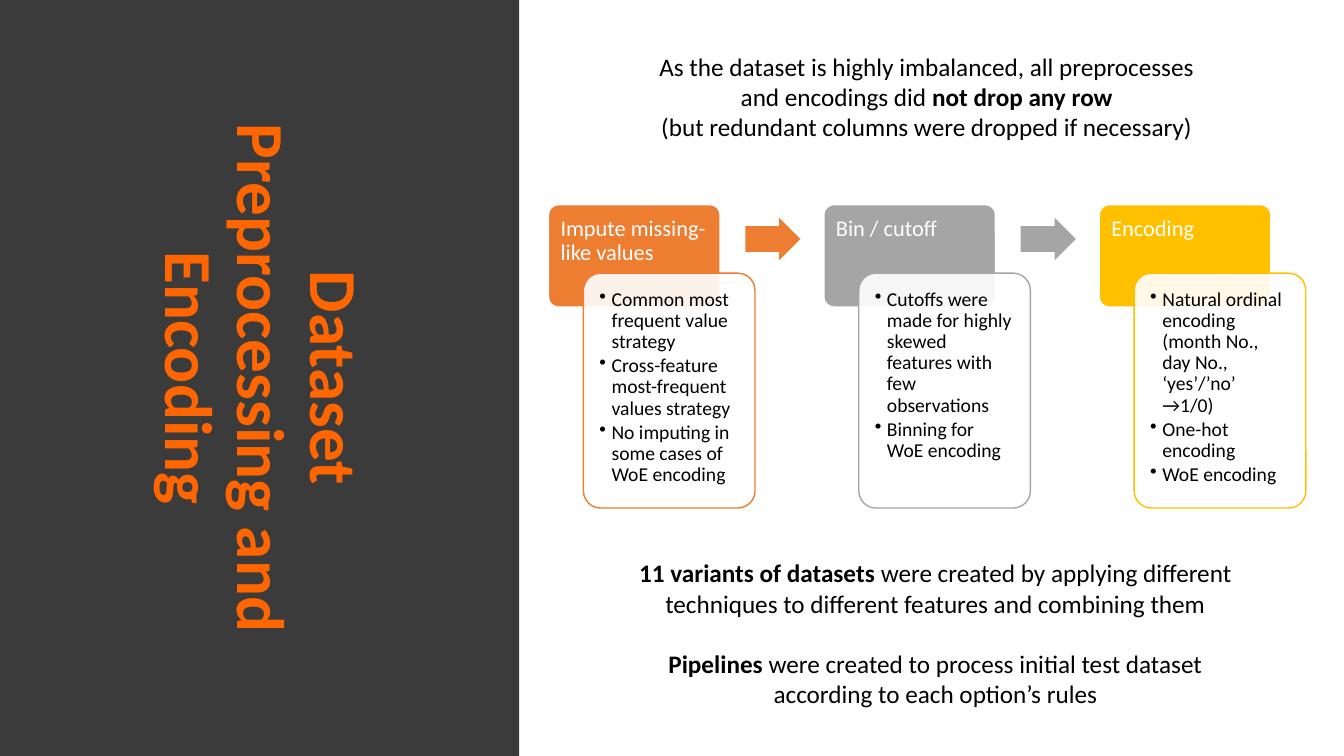
from dataclasses import dataclass

from lxml import etree
from pptx import Presentation
from pptx import util as u
from pptx.dml.color import RGBColor
from pptx.enum import shapes, text
from pptx.oxml import ns

ORANGE = RGBColor(0xED, 0x7D, 0x31)
GRAY = RGBColor(0xA5, 0xA5, 0xA5)
YELLOW = RGBColor(0xFF, 0xC0, 0x00)
CHARCOAL = RGBColor(0x3B, 0x3B, 0x3B)
BRIGHT_ORANGE = RGBColor(0xFF, 0x66, 0x00)
WHITE = RGBColor(0xFF, 0xFF, 0xFF)
BLACK = RGBColor(0x00, 0x00, 0x00)

FONT = "Calibri"
SLIDE_WIDTH, SLIDE_HEIGHT = u.Inches(13.33), u.Inches(7.5)
FIRST_STEP, STEP_PITCH = 40.81, 20.49  # percent of the slide width

Run = tuple[str, bool]  # wording, bold


@dataclass(frozen=True)
class Area:
    """A place on the slide, in percent of its width and height."""
    left: float
    top: float
    width: float
    height: float

    def shifted(self, distance: float) -> "Area":
        return Area(self.left + distance, self.top, self.width, self.height)

    def box(self) -> tuple[int, int, int, int]:
        return (int(SLIDE_WIDTH * self.left / 100), int(SLIDE_HEIGHT * self.top / 100),
                int(SLIDE_WIDTH * self.width / 100), int(SLIDE_HEIGHT * self.height / 100))


@dataclass(frozen=True)
class Step:
    heading: str
    points: list[str]
    color: RGBColor


@dataclass(frozen=True)
class Note:
    area: Area
    paragraphs: list[list[Run]]


# Places of the parts of a step, measured from the step's left edge
HEADER = Area(0, 27.07, 12.77, 13.55)
PANEL = Area(2.6, 36.13, 12.77, 31.07)
ARROW = Area(14.65, 28.8, 4.1, 5.63)

STEPS = [
    Step("Impute missing-like values",
         ["Common most frequent value strategy",
          "Cross-feature most-frequent values strategy",
          "No imputing in some cases of WoE encoding"], ORANGE),
    Step("Bin / cutoff",
         ["Cutoffs were made for highly skewed features with few observations",
          "Binning for WoE encoding"], GRAY),
    Step("Encoding",
         ["Natural ordinal encoding (month No., day No., ‘yes’/’no’ →1/0)",
          "One-hot encoding", "WoE encoding"], YELLOW),
]

NOTES = [
    Note(Area(47.5, 6.1, 42.9, 13.5),
         [[("As the dataset is highly imbalanced, all preprocesses and encodings did ", False),
           ("not drop any row", True)],
          [("(but redundant columns were dropped if necessary)", False)]]),
    Note(Area(45.7, 73.1, 47.8, 9.4),
         [[("11 variants of datasets ", True),
           ("were created by applying different techniques to different features "
            "and combining them", False)]]),
    Note(Area(45.7, 85.1, 47.8, 9.4),
         [[("Pipelines", True),
           (" were created to process initial test dataset according to each "
            "option’s rules", False)]]),
]


def add_bullet(paragraph) -> None:
    properties = paragraph._p.get_or_add_pPr()
    indent = u.Inches(0.12)
    properties.set("marL", str(indent))
    properties.set("indent", str(-indent))
    etree.SubElement(properties, ns.qn("a:buChar")).set("char", "•")


def write(shape, paragraphs: list[list[Run]], *, size: float, color: RGBColor,
          align=text.PP_ALIGN.LEFT, anchor=text.MSO_ANCHOR.TOP, inset: float | None = None,
          spacing: float = 1.0, after: float = 0, bullets: bool = False) -> None:
    frame = shape.text_frame
    frame.word_wrap = True
    frame.vertical_anchor = anchor
    if inset is not None:
        frame.margin_left = frame.margin_right = u.Inches(inset)
        frame.margin_top = frame.margin_bottom = u.Inches(inset)
    for index, runs in enumerate(paragraphs):
        paragraph = frame.add_paragraph() if index else frame.paragraphs[0]
        paragraph.alignment = align
        paragraph.line_spacing = spacing
        paragraph.space_after = u.Pt(after)
        if bullets:
            add_bullet(paragraph)
        for line_index, (wording, bold) in enumerate(runs):
            for part_index, part in enumerate(wording.split("\n")):
                if part_index:
                    paragraph.add_line_break()
                run = paragraph.add_run()
                run.text = part
                run.font.name = FONT
                run.font.size = u.Pt(size)
                run.font.bold = bold
                run.font.color.rgb = color


def add_block(slide, kind, box: tuple[int, int, int, int], fill: RGBColor, *,
              line: RGBColor | None = None, adjustments: tuple[float, ...] = (),
              opacity: int = 100):
    shape = slide.shapes.add_shape(kind, *box)
    shape.shadow.inherit = False
    shape.fill.solid()
    shape.fill.fore_color.rgb = fill
    if opacity < 100:
        color = shape.fill._xPr.find(".//" + ns.qn("a:srgbClr"))
        etree.SubElement(color, ns.qn("a:alpha")).set("val", str(opacity * 1000))
    if line is None:
        shape.line.fill.background()
    else:
        shape.line.color.rgb = line
        shape.line.width = u.Pt(1)
    for index, value in enumerate(adjustments):
        shape.adjustments[index] = value
    return shape


def add_step(slide, step: Step, left: float, has_arrow: bool) -> None:
    rounded = shapes.MSO_SHAPE.ROUNDED_RECTANGLE
    header = add_block(slide, rounded, HEADER.shifted(left).box(), step.color,
                       line=WHITE, adjustments=(0.1,))
    write(header, [[(step.heading, False)]], size=16, color=WHITE, inset=0.09, spacing=0.9)
    panel = add_block(slide, rounded, PANEL.shifted(left).box(), WHITE,
                      line=step.color, adjustments=(0.1,), opacity=90)
    write(panel, [[(point, False)] for point in step.points], size=14, color=BLACK,
          inset=0.11, spacing=0.9, after=2.1, bullets=True)
    if has_arrow:
        add_block(slide, shapes.MSO_SHAPE.RIGHT_ARROW, ARROW.shifted(left).box(),
                  step.color, adjustments=(0.6, 0.5))


def add_title_band(slide) -> None:
    # The band is laid out along the slide's height, then turned upright
    length, breadth = SLIDE_HEIGHT, int(SLIDE_WIDTH * 0.39) - u.Inches(0.05)
    box = ((breadth - length) // 2, (length - breadth) // 2, length, breadth)
    band = add_block(slide, shapes.MSO_SHAPE.RECTANGLE, box, CHARCOAL)
    band.rotation = 90
    write(band, [[("Dataset\nPreprocessing and Encoding", True)]], size=48,
          color=BRIGHT_ORANGE, align=text.PP_ALIGN.CENTER,
          anchor=text.MSO_ANCHOR.MIDDLE, spacing=0.9)


def main() -> None:
    presentation = Presentation()
    presentation.slide_width, presentation.slide_height = SLIDE_WIDTH, SLIDE_HEIGHT
    slide = presentation.slides.add_slide(presentation.slide_layouts[6])

    # Process steps
    for index, step in enumerate(STEPS):
        add_step(slide, step, FIRST_STEP + index * STEP_PITCH, index < len(STEPS) - 1)

    # Title band
    add_title_band(slide)

    # Notes above and below the steps
    for note in NOTES:
        textbox = slide.shapes.add_textbox(*note.area.box())
        write(textbox, note.paragraphs, size=18, color=BLACK, align=text.PP_ALIGN.CENTER)

    presentation.save("out.pptx")


if __name__ == "__main__":
    main()
